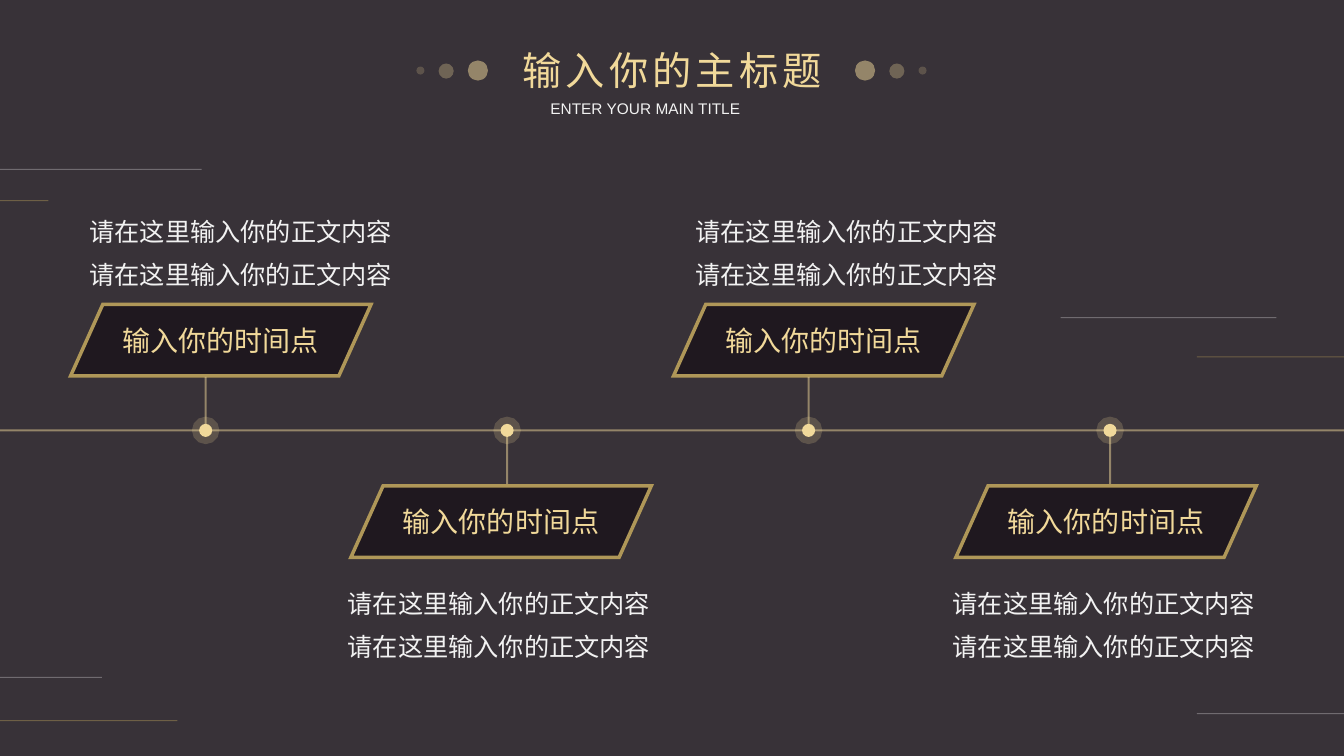
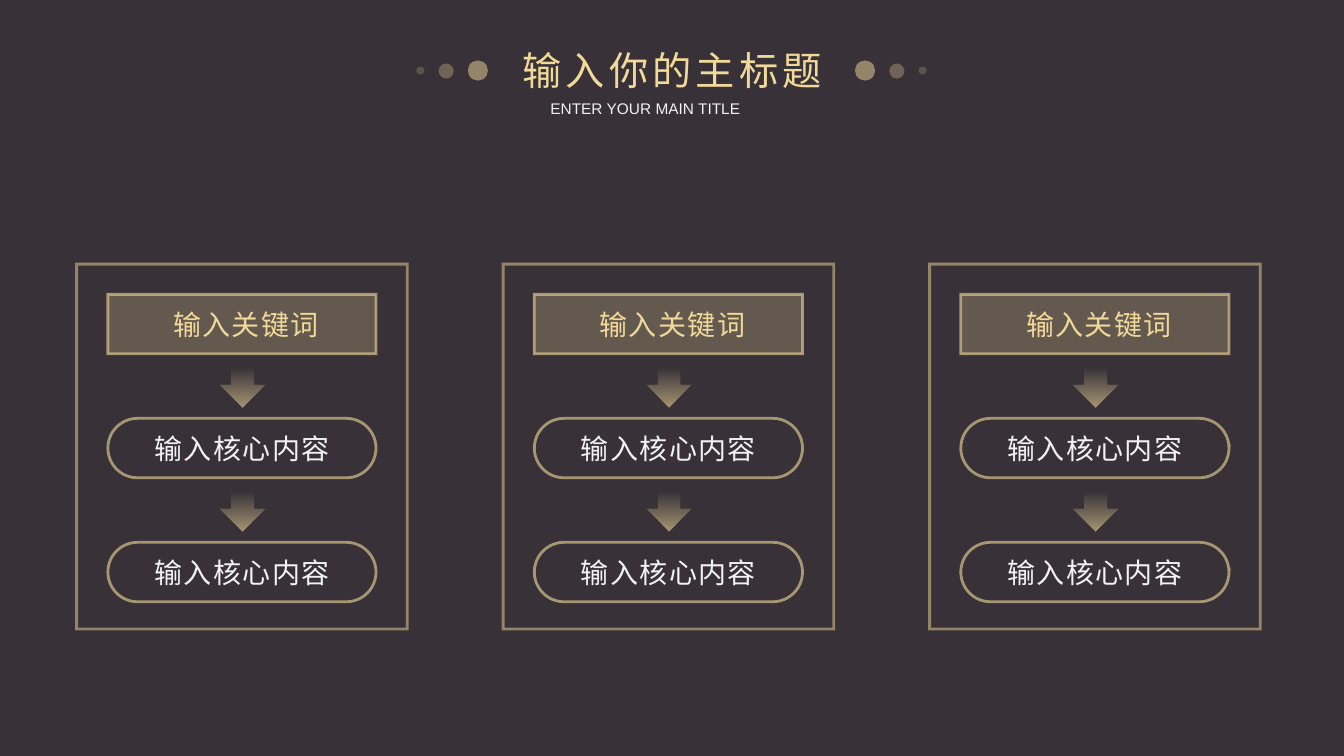
"""Build a timeline slide and a three-column process slide in a shared dark and gold style."""
from dataclasses import dataclass
from typing import Any, Optional

from lxml.etree import SubElement
from pptx import Presentation
from pptx.dml.color import RGBColor
from pptx.enum.shapes import MSO_CONNECTOR as Connector, MSO_SHAPE as Preset
from pptx.enum.text import MSO_ANCHOR as Anchor, MSO_AUTO_SIZE as AutoSize, PP_ALIGN as Align
from pptx.oxml.ns import qn
from pptx.util import Inches, Pt

COLORS = {
    "backdrop": "383238",
    "ink": "150E15",
    "gold": "F1D99A",
    "bronze": "AF9758",
    "white": "F2F2F2",
}
CHINESE_FONT = "Noto Sans CJK SC"
SLIDE_WIDTH = 13.33
TITLE_CENTER = 6.66
AXIS_Y = 4.27
DOT_SIZE = 0.13


@dataclass(frozen=True)
class TextStyle:
    size: float
    color: str
    font: str = CHINESE_FONT
    align: Any = Align.CENTER
    line_spacing: Optional[float] = None
    tracking: int = 0
    end_color: str = ""


@dataclass(frozen=True)
class Paint:
    color: str
    opacity: int = 100
    width: float = 0


@dataclass(frozen=True)
class Box:
    left: float
    top: float
    width: float
    height: float


@dataclass(frozen=True)
class Milestone:
    label_left: float
    body_left: float
    above: bool


@dataclass(frozen=True)
class Streak:
    start: float
    end: float
    y: float
    paint: Paint


@dataclass(frozen=True)
class TitleDot:
    left: float
    top: float
    size: float
    opacity: int


TITLE = TextStyle(28, "gold", tracking=3, end_color="bronze")
SUBTITLE = TextStyle(11, "white", font="Arial", align=Align.JUSTIFY)
LABEL = TextStyle(20, "gold")
BODY = TextStyle(18, "white", align=Align.LEFT, line_spacing=1.4)
KEYWORD = TextStyle(20, "gold", tracking=1)
CONTENT = TextStyle(20, "white", font="Arial", tracking=1)

AXIS = Paint("gold", 50, 1.5)
FRAME = Paint("gold", 50, 2)
OUTLINE = Paint("gold", 60, 2)
PALE_STREAK = Paint("white", 30, 0.75)
GOLD_STREAK = Paint("bronze", 45, 0.75)

TITLE_DOTS = [
    TitleDot(4.64, 0.6, 0.2, 50),
    TitleDot(4.35, 0.63, 0.15, 30),
    TitleDot(4.13, 0.66, 0.08, 20),
]
STREAKS = [
    Streak(0, 2, 1.68, PALE_STREAK),
    Streak(0, 0.48, 1.99, GOLD_STREAK),
    Streak(0, 1.01, 6.72, PALE_STREAK),
    Streak(0, 1.76, 7.15, GOLD_STREAK),
    Streak(10.52, 12.66, 3.15, PALE_STREAK),
    Streak(11.87, SLIDE_WIDTH, 3.54, GOLD_STREAK),
    Streak(11.87, SLIDE_WIDTH, 7.08, PALE_STREAK),
]
MILESTONES = [
    Milestone(0.7, 0.79, True),
    Milestone(3.48, 3.35, False),
    Milestone(6.68, 6.8, True),
    Milestone(9.48, 9.35, False),
]


def rgb(name: str) -> RGBColor:
    return RGBColor.from_string(COLORS[name])


def fade(color_parent: Any, opacity: int) -> None:
    if opacity < 100:
        color = next(color_parent.iter(qn("a:srgbClr")))
        SubElement(color, qn("a:alpha"), val=str(opacity * 1000))


def paint_line(shape: Any, paint: Paint) -> None:
    shape.line.width = Pt(paint.width)
    shape.line.color.rgb = rgb(paint.color)
    outline = shape.element.spPr.find(qn("a:ln"))
    fade(outline, paint.opacity)
    SubElement(outline, qn("a:miter"), lim="800000")


def paint_gradient(fill: Any, colors: list[str], angle: float) -> None:
    fill.gradient()
    fill.gradient_angle = angle
    for stop, color in zip(fill.gradient_stops, colors):
        stop.color.rgb = rgb(color)
    fill.gradient_stops[0].position, fill.gradient_stops[1].position = 0, 1


def write(shape: Any, lines: list[str], style: TextStyle, frame_format: dict[str, Any]) -> None:
    frame = shape.text_frame
    for name, value in frame_format.items():
        setattr(frame, name, value)
    for index, line in enumerate(lines):
        paragraph = frame.paragraphs[0] if index == 0 else frame.add_paragraph()
        paragraph.alignment = style.align
        paragraph.line_spacing = style.line_spacing
        run = paragraph.add_run()
        run.text = line
        for name, value in {"size": Pt(style.size), "name": style.font}.items():
            setattr(run.font, name, value)
        if style.end_color:
            paint_gradient(run.font.fill, [style.color, style.end_color], 270)
        else:
            run.font.color.rgb = rgb(style.color)
        properties = run.font._element
        if style.tracking:
            properties.set("spc", str(style.tracking * 100))
        latin = properties.find(qn("a:latin"))
        latin.addnext(properties.makeelement(qn("a:ea"), {"typeface": CHINESE_FONT}))


def add_text(shapes: Any, box: Box, lines: list[str], style: TextStyle) -> None:
    shape = shapes.add_textbox(
        Inches(box.left), Inches(box.top), Inches(box.width), Inches(box.height))
    write(shape, lines, style, {"word_wrap": True, "auto_size": AutoSize.SHAPE_TO_FIT_TEXT})


def add_preset(shapes: Any, preset: Any, box: Box, fill: Optional[Paint] = None,
               line: Optional[Paint] = None, adjustment: Optional[float] = None) -> Any:
    shape = shapes.add_shape(
        preset, Inches(box.left), Inches(box.top), Inches(box.width), Inches(box.height))
    shape.shadow.inherit = False
    if adjustment is not None:
        shape.adjustments[0] = adjustment
    if fill:
        shape.fill.solid()
        shape.fill.fore_color.rgb = rgb(fill.color)
        fade(shape.element.spPr.find(qn("a:solidFill")), fill.opacity)
    else:
        shape.fill.background()
    if line:
        paint_line(shape, line)
    else:
        shape.line.fill.background()
    return shape


def add_line(shapes: Any, start: tuple[float, float], end: tuple[float, float],
             paint: Paint) -> None:
    connector = shapes.add_connector(
        Connector.STRAIGHT, *(Inches(value) for value in (*start, *end)))
    paint_line(connector, paint)
    SubElement(connector.element.spPr, qn("a:effectLst"))


def add_heading(shapes: Any) -> None:
    add_text(shapes, Box(4.84, 0.41, 3.65, 0.57), ["输入你的主标题"], TITLE)
    add_text(shapes, Box(5.36, 0.93, 2.62, 0.29), ["ENTER YOUR MAIN TITLE"], SUBTITLE)
    for mirrored in (False, True):
        group = shapes.add_group_shape()
        for dot in TITLE_DOTS:
            left = 2 * TITLE_CENTER - dot.left - dot.size if mirrored else dot.left
            add_preset(group.shapes, Preset.OVAL, Box(left, dot.top, dot.size, dot.size),
                       Paint("gold", dot.opacity))


def add_milestone(shapes: Any, milestone: Milestone, x: float) -> None:
    label_top, body_top = (3.02, 1.98) if milestone.above else (4.82, 5.67)
    direction = -1 if milestone.above else 1
    label = add_preset(shapes, Preset.PARALLELOGRAM,
                       Box(milestone.label_left, label_top, 2.98, 0.71),
                       Paint("ink", 70), Paint("bronze", width=2.5), 0.45)
    write(label, ["输入你的时间点"], LABEL, {"vertical_anchor": Anchor.MIDDLE})
    add_preset(shapes, Preset.OVAL,
               Box(x - DOT_SIZE / 2, AXIS_Y - DOT_SIZE / 2, DOT_SIZE, DOT_SIZE),
               Paint("gold"), Paint("gold", 20, 10))
    add_line(shapes, (x, AXIS_Y + direction * DOT_SIZE / 2), (x, AXIS_Y + direction * 0.53), AXIS)
    add_text(shapes, Box(milestone.body_left, body_top, 3.5, 0.91),
             ["请在这里输入你的正文内容"] * 2, BODY)


def build_timeline(slide: Any) -> None:
    for streak in STREAKS:
        add_line(slide.shapes, (streak.start, streak.y), (streak.end, streak.y), streak.paint)
    add_line(slide.shapes, (0, AXIS_Y), (SLIDE_WIDTH, AXIS_Y), AXIS)
    for index, milestone in enumerate(MILESTONES):
        add_milestone(slide.shapes, milestone, 2.04 + 2.99 * index)
    add_heading(slide.shapes)


def add_arrow(shapes: Any, left: float, top: float) -> None:
    arrow = add_preset(shapes, Preset.RIGHT_ARROW, Box(left, top, 0.45, 0.45))
    arrow.rotation = 90
    paint_gradient(arrow.fill, ["gold", "gold"], 0)
    arrow.fill.gradient_stops[0].position = 0.14
    for stop, opacity in zip(arrow.element.spPr.iter(qn("a:gs")), (0, 60)):
        fade(stop, opacity)


def add_process(shapes: Any, left: float) -> None:
    card = shapes.add_group_shape().shapes
    add_preset(card, Preset.RECTANGLE, Box(left, 2.62, 3.28, 3.62), line=FRAME)
    rows = [Box(left + 0.31, 2.92 + 1.23 * row, 2.66, 0.59) for row in range(3)]
    keyword = add_preset(card, Preset.RECTANGLE, rows[0], Paint("gold", 24), OUTLINE)
    write(keyword, ["输入关键词"], KEYWORD,
          {"vertical_anchor": Anchor.MIDDLE, "margin_left": Inches(0.08), "margin_right": 0})
    for row in rows[1:]:
        content = add_preset(card, Preset.ROUNDED_RECTANGLE, row, line=OUTLINE, adjustment=0.5)
        write(content, ["输入核心内容"], CONTENT, {"vertical_anchor": Anchor.MIDDLE})
        add_arrow(card, left + 1.42, row.top - 0.56)


def build_processes(slide: Any) -> None:
    for column in range(3):
        add_process(slide.shapes, 0.76 + 4.23 * column)
    add_heading(slide.shapes)


def main() -> None:
    presentation = Presentation()
    presentation.slide_width = Inches(SLIDE_WIDTH)
    presentation.slide_height = Inches(7.5)
    backdrop = presentation.slide_master.background.fill
    backdrop.solid()
    backdrop.fore_color.rgb = rgb("backdrop")
    for build in (build_timeline, build_processes):
        build(presentation.slides.add_slide(presentation.slide_layouts[6]))
    presentation.save("out.pptx")


if __name__ == "__main__":
    main()
